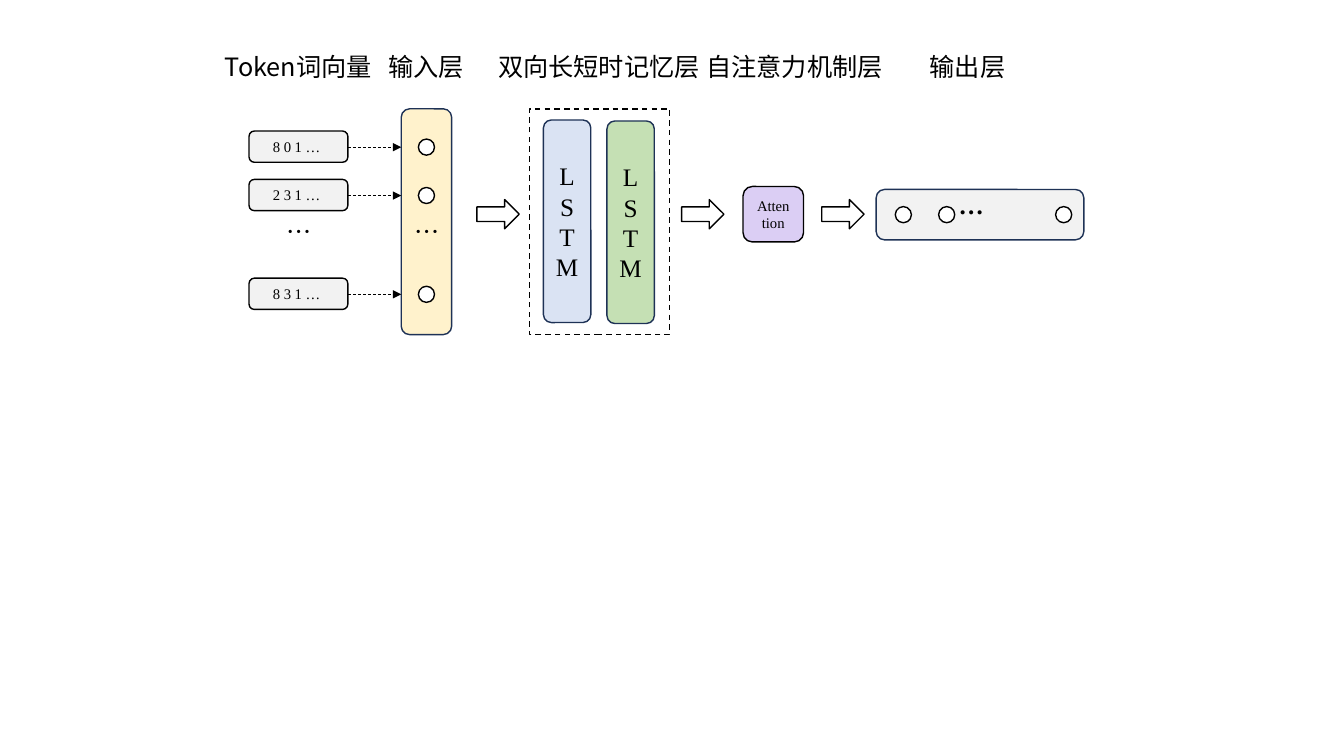
from pptx import Presentation, util as u
from pptx.dml.color import RGBColor
from pptx.enum import dml, lang, shapes, text
from pptx.oxml.ns import qn
from lxml import etree

BLACK = RGBColor(0x00, 0x00, 0x00)
WHITE = RGBColor(0xFF, 0xFF, 0xFF)
NAVY = RGBColor(0x1E, 0x32, 0x56)
GREY = RGBColor(0xF2, 0xF2, 0xF2)
CREAM = RGBColor(0xFF, 0xF2, 0xCC)
BLUE = RGBColor(0xDA, 0xE3, 0xF3)
GREEN = RGBColor(0xC5, 0xE0, 0xB4)
LILAC = RGBColor(0xDB, 0xCE, 0xF4)
SANS = "Noto Sans CJK SC"
SERIF = "Times New Roman"
KIND = shapes.MSO_SHAPE
SCALE = 9144


def px(value):
    """Turn px into EMU, at 100 px to the inch."""
    return u.Emu(value * SCALE)


class Diagram:
    """Draw the parts of the network on one slide."""

    def __init__(self, slide):
        self.slide = slide

    def add_lines(self, frame, lines, size, font, align, bold=False):
        frame.word_wrap = True
        for index, line in enumerate(lines):
            paragraph = frame.paragraphs[0] if index == 0 else frame.add_paragraph()
            paragraph.alignment = align
            run = paragraph.add_run()
            run.text = line
            run.font.size = u.Pt(size)
            run.font.bold = bold
            run.font.color.rgb = BLACK
            run.font.name = font
            run.font.language_id = lang.MSO_LANGUAGE_ID.SIMPLIFIED_CHINESE
            east_asian = etree.SubElement(run.font._element, qn("a:ea"))
            east_asian.set("typeface", font)

    def label(self, left, top, width, words, font=SANS, align=text.PP_ALIGN.CENTER, bold=False):
        box = self.slide.shapes.add_textbox(px(left), px(top), px(width), px(40))
        self.add_lines(box.text_frame, [words], 18, font, align, bold)

    def block(self, kind, left, top, width, height, fill=WHITE, line=BLACK, lines=(), size=18):
        shape = self.slide.shapes.add_shape(kind, px(left), px(top), px(width), px(height))
        shape.shadow.inherit = False
        shape.fill.solid()
        shape.fill.fore_color.rgb = fill
        shape.line.color.rgb = line
        shape.line.width = u.Pt(1)
        shape.text_frame.vertical_anchor = text.MSO_ANCHOR.MIDDLE
        self.add_lines(shape.text_frame, lines, size, SERIF, text.PP_ALIGN.CENTER)
        return shape

    def node(self, center_x, center_y):
        self.block(KIND.OVAL, center_x - 8, center_y - 8, 16, 16)

    def link(self, start, end, y):
        connector = self.slide.shapes.add_connector(
            shapes.MSO_CONNECTOR.STRAIGHT, px(start), px(y), px(end), px(y))
        connector.line.color.rgb = BLACK
        connector.line.width = u.Pt(0.5)
        connector.line.dash_style = dml.MSO_LINE.DASH
        properties = connector._element.spPr
        tail = etree.SubElement(properties.find(qn("a:ln")), qn("a:tailEnd"))
        tail.set("type", "triangle")
        etree.SubElement(properties, qn("a:effectLst"))


def main():
    presentation = Presentation()
    presentation.slide_width = px(1333)
    presentation.slide_height = px(750)
    slide = presentation.slides.add_slide(presentation.slide_layouts[6])
    diagram = Diagram(slide)

    for left, width, title in (
        (201, 190, "Token词向量"),
        (268, 309, "输入层"),
        (456, 276, "双向长短时记忆层"),
        (650, 276, "自注意力机制层"),
        (869, 181, "输出层"),
    ):
        diagram.label(left, 46, width, title)

    rounded = KIND.ROUNDED_RECTANGLE
    diagram.block(rounded, 398, 108, 50, 224, CREAM, NAVY)
    for y, token in ((146, "8 0 1 … "), (194, "2 3 1 … "), (292, "8 3 1 … ")):
        diagram.block(rounded, 247, y - 16, 98, 31, GREY, lines=[token], size=10.5)
        diagram.node(423, y)
        diagram.link(345, 398, y)
    for left in (274, 401):
        diagram.label(left, 210, 44, "…", align=text.PP_ALIGN.LEFT)

    frame = diagram.block(KIND.RECTANGLE, 525, 108, 139, 224)
    frame.line.dash_style = dml.MSO_LINE.DASH
    diagram.block(rounded, 539, 119, 47, 201, BLUE, NAVY, ["L", "STM"])
    diagram.block(rounded, 602, 120, 47, 201, GREEN, NAVY, ["L", "S", "T", "M"])
    diagram.block(rounded, 737, 185, 60, 55, LILAC, lines=["Attention"], size=10.5)

    diagram.block(rounded, 869, 188, 206, 50, GREY, NAVY)
    for x in (896, 939, 1055):
        diagram.node(x, 213)
    diagram.label(941, 183, 44, "…", font=SERIF, bold=True)

    for left in (473, 676, 815):
        diagram.block(KIND.RIGHT_ARROW, left, 198, 42, 29)

    presentation.save("out.pptx")


if __name__ == "__main__":
    main()
